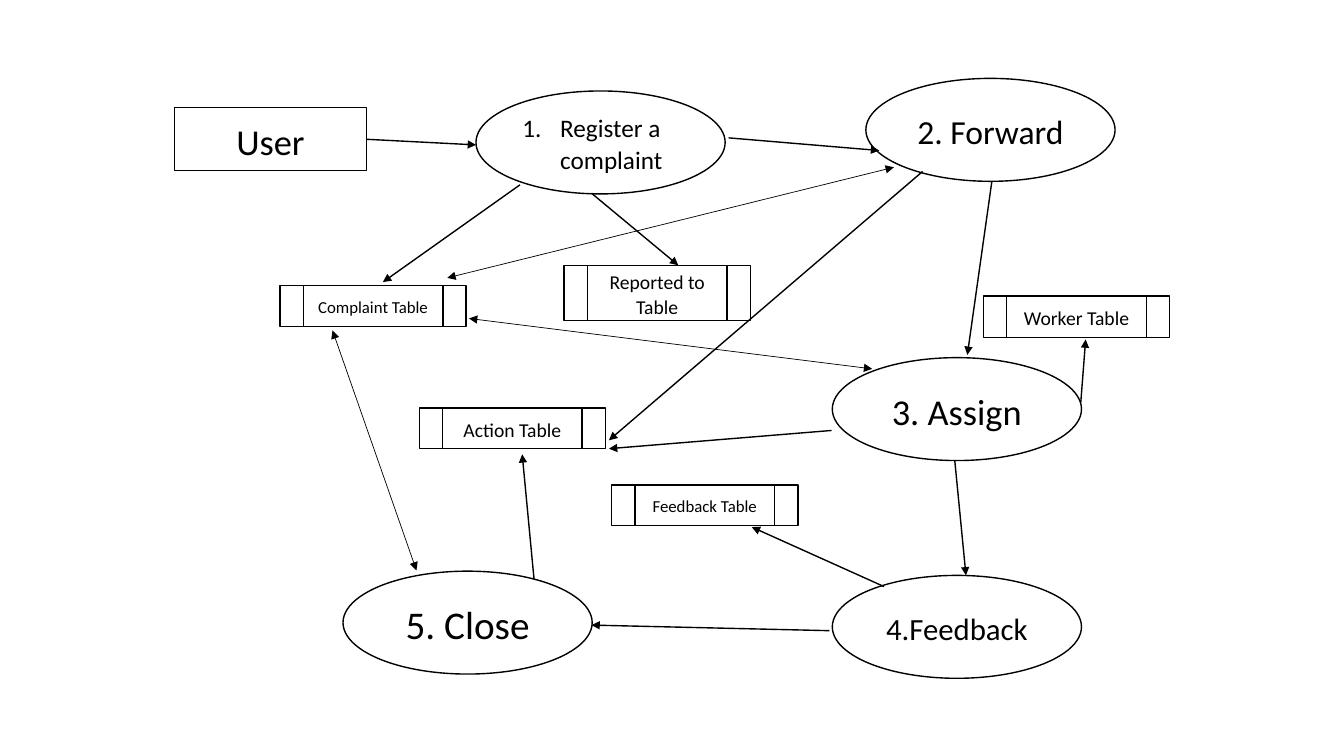
from lxml.etree import SubElement as Sub
from pptx import Presentation
from pptx.dml.color import RGBColor as Rgb
from pptx.enum.shapes import MSO_CONNECTOR as Link, MSO_SHAPE as Kind
from pptx.enum.text import MSO_ANCHOR as Anchor, PP_ALIGN as Align
from pptx.oxml.ns import qn
from pptx.util import Pt

HUES = {"ink": "000000", "paper": "FFFFFF"}
FONT = "Calibri"
OVAL = (178, 73.5)
WIDE = 133

# Text, left, top, font size
STEPS = [
    ("Register a complaint", 340, 65, 18),
    ("2. Forward", 618.5, 56, 24),
    ("3. Assign", 594.5, 255.5, 26),
    ("4.Feedback", 594.5, 411, 22),
    ("5. Close", 245, 408, 28),
]
# Text, left, top, height, font size
STORES = [
    ("Complaint Table", 200, 204, 29, 12),
    ("Reported to Table", 403, 189.5, 39.5, 14),
    ("Worker Table", 702.5, 211.5, 29.5, 14),
    ("Action Table", 299.5, 291.5, 29, 14),
    ("Feedback Table", 437, 346.5, 29, 12),
]
# Start x, y, end x, y
FLOWS = [
    (371.5, 132, 273.5, 201.5),
    (708.5, 129.5, 691, 253.5),
    (682, 329, 690, 411),
    (592.5, 450.5, 422.5, 446.5),
    (520.5, 98.5, 628, 107.5),
    (659, 122.5, 435, 314.5),
    (381.5, 414, 373, 324.5),
    (631.5, 419, 537, 376.5),
    (422.5, 138, 484.5, 189.5),
    (594, 307.5, 435, 320.5),
    (772, 287.5, 775.5, 242.5),
]
LOOKUPS = [
    (237.5, 236, 297.5, 407.5),
    (319.5, 198.5, 638.5, 119.5),
    (335, 227.5, 623, 263.5),
]


def tint(name):
    return Rgb.from_string(HUES[name])


def add_node(slide, kind, text, box, size, number=False):
    node = slide.shapes.add_shape(kind, *map(Pt, box))
    node.shadow.inherit = False
    node.fill.solid()
    node.fill.fore_color.rgb = tint("paper")
    node.line.color.rgb = tint("ink")
    node.line.width = Pt(1)
    frame = node.text_frame
    frame.word_wrap = True
    frame.vertical_anchor = Anchor.MIDDLE
    frame.text = text
    para = frame.paragraphs[0]
    para.alignment = Align.LEFT if number else Align.CENTER
    para.line_spacing = 1.07
    para.space_after = Pt(8)
    if number:
        props = para._p.get_or_add_pPr()
        props.set("marL", str(Pt(27)))
        props.set("indent", str(-Pt(27)))
        Sub(props, qn("a:buFont"), typeface="+mj-lt")
        Sub(props, qn("a:buAutoNum"), type="arabicPeriod")
    font = para.runs[0].font
    font.name, font.size = FONT, Pt(size)
    font.color.rgb = tint("ink")
    return node


def add_arrow(slide, ends, width=1, both=False):
    arrow = slide.shapes.add_connector(Link.STRAIGHT, *map(Pt, ends))
    arrow.line.color.rgb = tint("ink")
    arrow.line.width = Pt(width)
    line = arrow.line._get_or_add_ln()
    if both:
        Sub(line, qn("a:headEnd"), type="triangle")
    Sub(line, qn("a:tailEnd"), type="triangle")
    Sub(arrow._element.spPr, qn("a:effectLst"))
    return arrow


def draw_flow(slide, left, top):
    def shift(ends):
        x1, y1, x2, y2 = ends
        return left + x1, top + y1, left + x2, top + y2

    # User and the five steps
    user = add_node(slide, Kind.RECTANGLE, "User",
                    (left + 124.5, top + 77, 137.5, 45), 26)
    for i, (text, x, y, size) in enumerate(STEPS):
        add_node(slide, Kind.OVAL, text, (left + x, top + y, *OVAL),
                 size, number=i == 0)

    # Data tables
    for text, x, y, high, size in STORES:
        add_node(slide, Kind.FLOWCHART_PREDEFINED_PROCESS, text,
                 (left + x, top + y, WIDE, high), size)

    # Flows one way, lookups both ways
    entry = add_arrow(slide, shift((262, 99.5, 340, 103.5)))
    entry.begin_connect(user, 3)
    for ends in FLOWS:
        add_arrow(slide, shift(ends))
    for ends in LOOKUPS:
        add_arrow(slide, shift(ends), 0.5, both=True)


def main():
    deck = Presentation()
    deck.slide_width, deck.slide_height = Pt(960), Pt(540)
    slide = deck.slides.add_slide(deck.slide_layouts[6])
    draw_flow(slide, 0, 0)
    deck.save("out.pptx")


if __name__ == "__main__":
    main()
